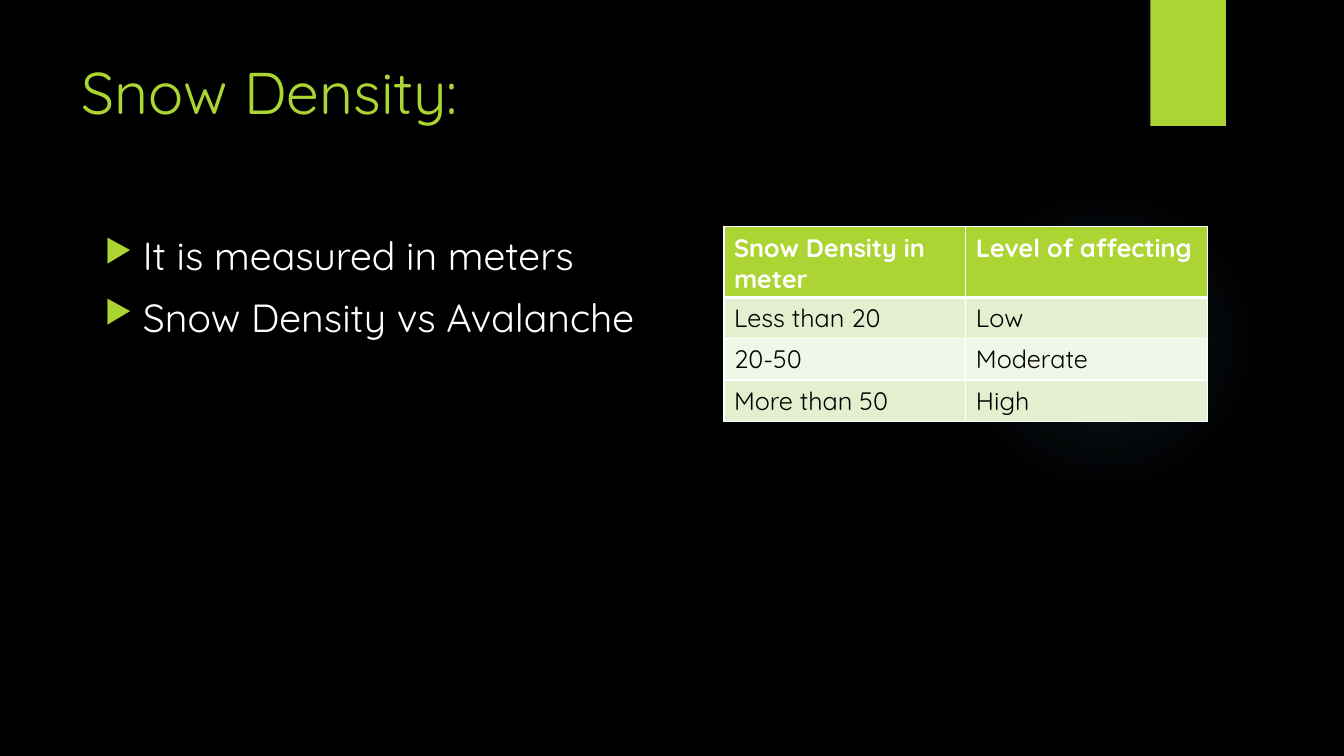
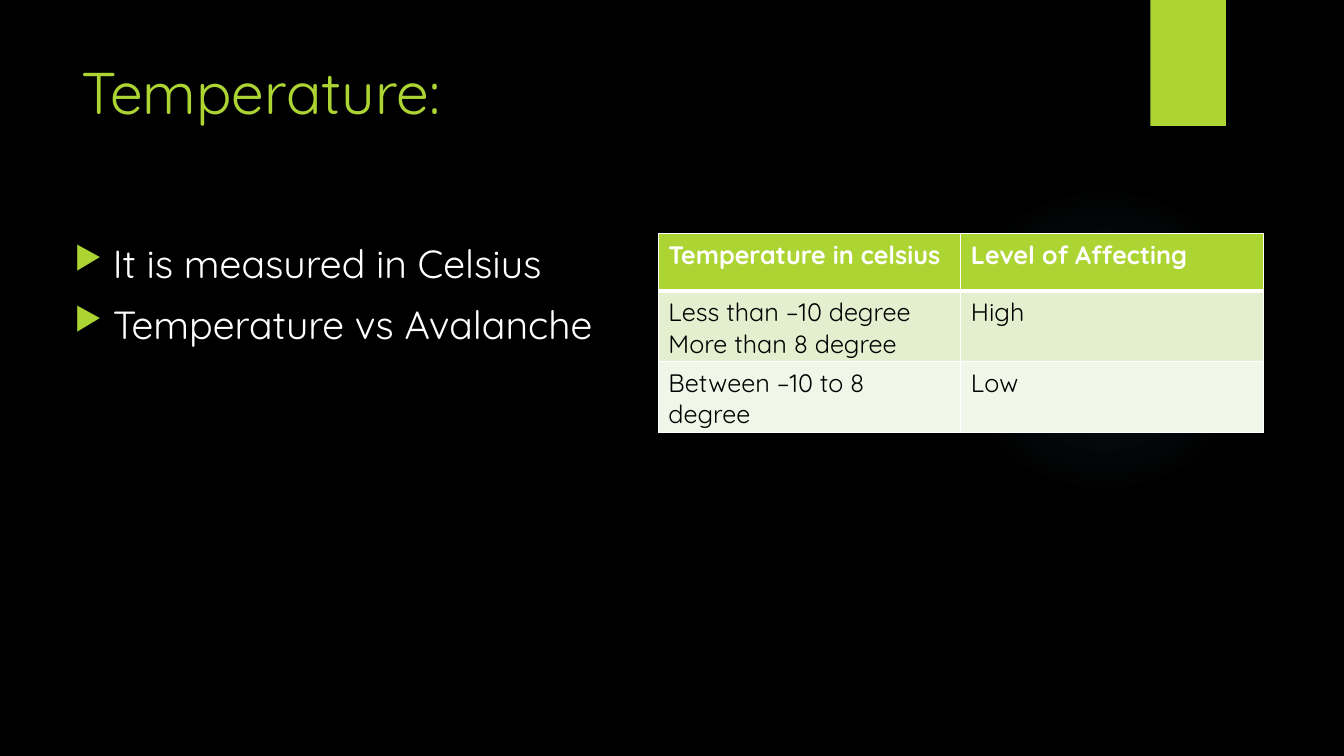
from lxml import etree
from pptx import Presentation
from pptx.dml.color import RGBColor
from pptx.enum.shapes import MSO_SHAPE
from pptx.enum.text import MSO_ANCHOR
from pptx.oxml import parse_xml
from pptx.oxml.ns import nsdecls, qn
from pptx.util import Inches, Pt

RECTANGLE, OVAL = MSO_SHAPE.RECTANGLE, MSO_SHAPE.OVAL
TOP = MSO_ANCHOR.TOP

BLACK = RGBColor(0x00, 0x00, 0x00)
WHITE = RGBColor(0xFF, 0xFF, 0xFF)
LIME = RGBColor(0xAC, 0xD4, 0x33)
GLOW = RGBColor(0x7A, 0xC4, 0xF0)
ROW_FILLS = (RGBColor(0xE3, 0xEF, 0xCE), RGBColor(0xF1, 0xF7, 0xE8))

FONT = "Quicksand"
TITLE_ONLY = 5
GLOW_STOPS = ((0, 7), (36, 6), (69, 0))  # position and opacity, in percent


def format_text(tf, size, color, bold=False):
    for p in tf.paragraphs:
        for r in p.runs:
            r.font.name = FONT
            r.font.size = Pt(size)
            r.font.color.rgb = color
            r.font.bold = bold


def add_plain_shape(slide, kind, left, top, width, height):
    sp = slide.shapes.add_shape(kind, Inches(left), Inches(top),
                                Inches(width), Inches(height))
    sp.shadow.inherit = False
    sp.line.fill.background()
    return sp


def add_glow(slide):
    """Add the faint radial light behind the table."""
    sp = add_plain_shape(slide, OVAL, 9.41, 1.83, 3.08, 3.08)
    sp.fill.background()
    stops = "".join(
        f'<a:gs pos="{pos * 1000}"><a:srgbClr val="{GLOW}">'
        f'<a:alpha val="{alpha * 1000}"/></a:srgbClr></a:gs>'
        for pos, alpha in GLOW_STOPS)
    gradient = parse_xml(
        f'<a:gradFill {nsdecls("a")}><a:gsLst>{stops}</a:gsLst>'
        '<a:path path="circle"><a:fillToRect l="50000" t="50000" '
        'r="50000" b="50000"/></a:path></a:gradFill>')
    sp_pr = sp.fill._xPr
    sp_pr.replace(sp_pr.find(qn("a:noFill")), gradient)


def add_band(slide):
    sp = add_plain_shape(slide, RECTANGLE, 11.41, 0, 0.75, 1.25)
    sp.fill.solid()
    sp.fill.fore_color.rgb = LIME


def set_title(slide, text):
    title = slide.shapes.title
    title.left, title.top = Inches(0.71), Inches(0.5)
    title.width, title.height = Inches(10.29), Inches(1.53)
    tf = title.text_frame
    tf.text = text
    tf.vertical_anchor = TOP
    tf.paragraphs[0].alignment = 1
    format_text(tf, 42, LIME)


def add_titled_slide(prs, title):
    slide = prs.slides.add_slide(prs.slide_layouts[TITLE_ONLY])
    add_glow(slide)
    add_band(slide)
    set_title(slide, title)
    return slide


def set_bullet(p):
    p_pr = p._p.get_or_add_pPr()
    p_pr.set("marL", str(Inches(0.38)))
    p_pr.set("indent", str(-Inches(0.38)))
    color = etree.SubElement(p_pr, qn("a:buClr"))
    etree.SubElement(color, qn("a:srgbClr"), val=str(LIME))
    etree.SubElement(p_pr, qn("a:buSzPct"), val="80000")
    etree.SubElement(p_pr, qn("a:buChar"), char="▶")


def add_bullets(slide, left, top, width, items):
    box = slide.shapes.add_textbox(Inches(left), Inches(top),
                                   Inches(width), Inches(4.59))
    tf = box.text_frame
    tf.word_wrap = True
    tf.text = "\n".join(items)
    for p in tf.paragraphs:
        p.space_before = Pt(10)
        set_bullet(p)
    format_text(tf, 28, WHITE)


def set_borders(cell, top, bottom):
    """Draw white cell borders; top and bottom are widths in points."""
    tc_pr = cell._tc.get_or_add_tcPr()
    widths = (("lnL", 1), ("lnR", 1), ("lnT", top), ("lnB", bottom))
    for i, (side, width) in enumerate(widths):
        tc_pr.insert(i, parse_xml(
            f'<a:{side} {nsdecls("a")} w="{Pt(width)}"><a:solidFill>'
            f'<a:srgbClr val="{WHITE}"/></a:solidFill></a:{side}>'))


def add_level_table(slide, left, top, col_width, row_heights, rows):
    n_cols = len(rows[0])
    frame = slide.shapes.add_table(
        len(rows), n_cols, Inches(left), Inches(top),
        Inches(col_width * n_cols), Inches(sum(row_heights)))
    table = frame.table
    for col in table.columns:
        col.width = Inches(col_width)
    for i, (values, height) in enumerate(zip(rows, row_heights)):
        table.rows[i].height = Inches(height)
        header = i == 0
        for j, value in enumerate(values):
            cell = table.cell(i, j)
            cell.text_frame.text = value
            format_text(cell.text_frame, 18, WHITE if header else BLACK, header)
            cell.fill.solid()
            cell.fill.fore_color.rgb = LIME if header else ROW_FILLS[(i - 1) % 2]
            set_borders(cell, 3 if i == 1 else 1, 3 if header else 1)


def add_density_slide(prs):
    slide = add_titled_slide(prs, "Snow Density:")
    add_bullets(slide, 0.94, 2.25, 6.46,
                ["It is measured in meters", "Snow Density vs Avalanche"])
    add_level_table(slide, 7.18, 2.25, 2.4, [0.41] * 4, [
        ("Snow Density in meter", "Level of affecting"),
        ("Less than 20", "Low"),
        ("20-50", "Moderate"),
        ("More than 50", "High"),
    ])


def add_temperature_slide(prs):
    slide = add_titled_slide(prs, "Temperature:")
    add_bullets(slide, 0.64, 2.32, 6.39,
                ["It is measured in Celsius", "Temperature vs Avalanche"])
    add_level_table(slide, 6.53, 2.32, 3, [0.57, 0.57, 0.33], [
        ("Temperature in celsius", "Level of Affecting"),
        ("Less than –10 degree\nMore than 8 degree", "High"),
        ("Between –10 to 8 degree", "Low"),
    ])


def main():
    prs = Presentation()
    prs.slide_width, prs.slide_height = Inches(13.33), Inches(7.5)
    background = prs.slide_master.background.fill
    background.solid()
    background.fore_color.rgb = BLACK
    add_density_slide(prs)
    add_temperature_slide(prs)
    prs.save("out.pptx")


if __name__ == "__main__":
    main()
